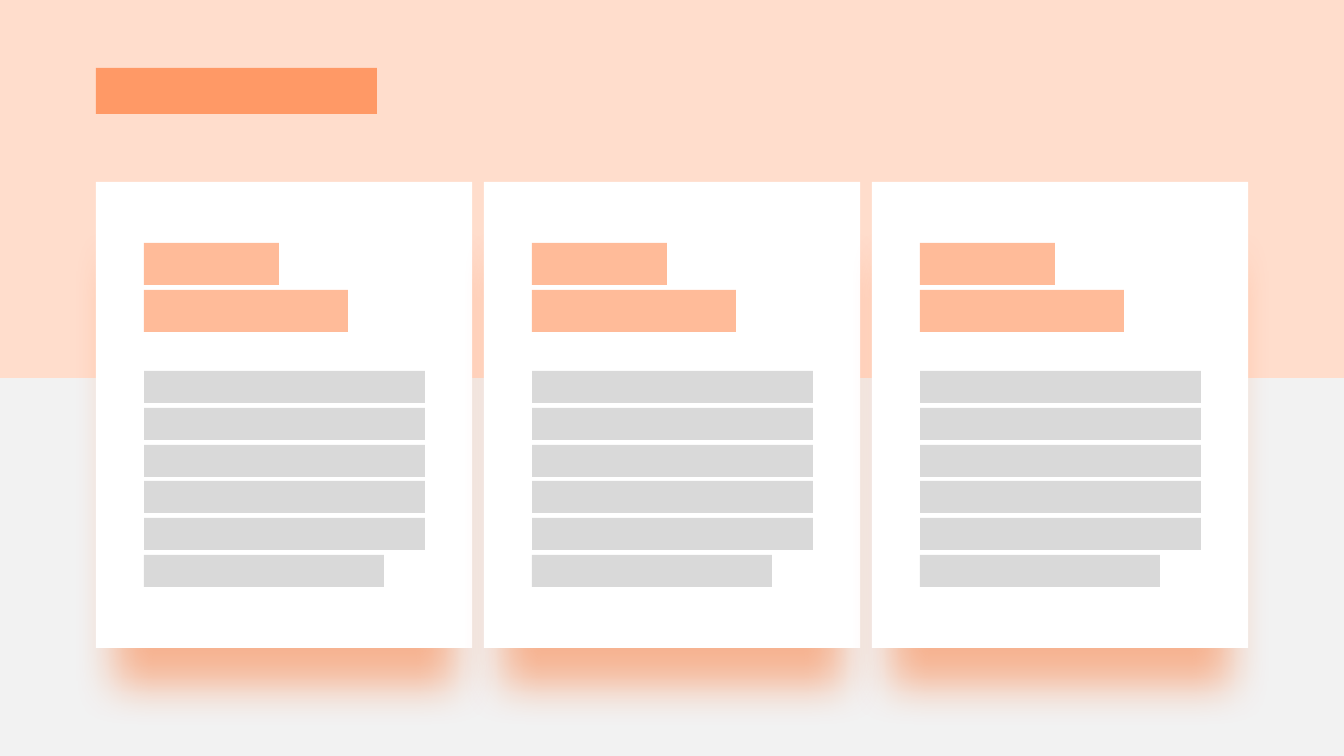
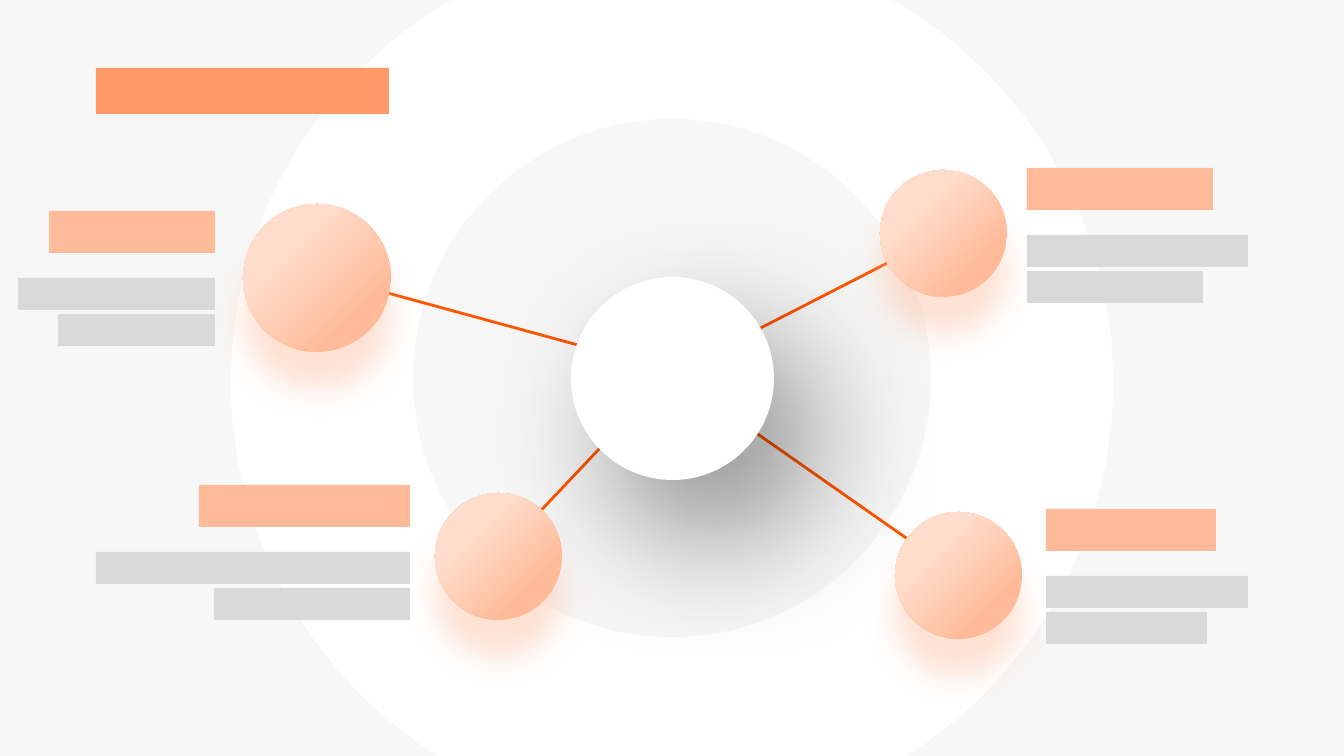
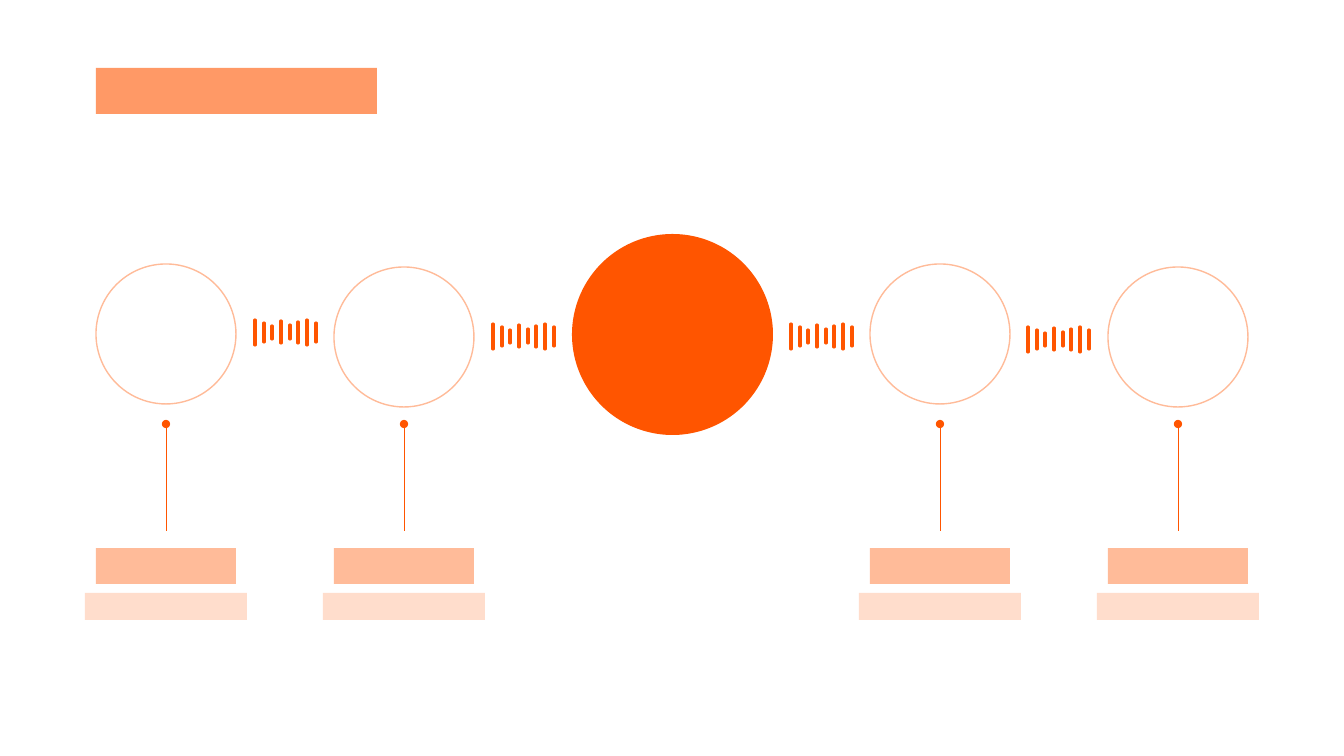
from lxml.etree import SubElement
from pptx import Presentation
from pptx.dml.color import RGBColor
from pptx.enum.shapes import MSO_CONNECTOR as Connector, MSO_SHAPE as Shape
from pptx.oxml.ns import qn
from pptx.util import Pt

EMU_PER_PX = 12192000 / 1344
WIDTH, HEIGHT = 1344, 756
ORANGE, TITLE, ACCENT, PALE = "FF5500", "FF9966", "FFBB99", "FFDDCC"
WHITE, GREY, PAPER, MIST = "FFFFFF", "D9D9D9", "F2F2F2", "F7F7F7"
HEADING_HEIGHT, LINE_HEIGHT = 42, 32
CARD_SHADOW = (ORANGE, 40, 30, 60, 90, 90)
HUB_SHADOW = ("000000", 44, 100, 50, 55)
NODE_SHADOW = (ACCENT, 42, 22, 27, 90)


def px(length):
    return round(length * EMU_PER_PX)


def rgb(color):
    return RGBColor.from_string(color)


class Deck:
    def __init__(self):
        self.deck = Presentation()
        self.deck.slide_width = px(WIDTH)
        self.deck.slide_height = px(HEIGHT)
        self.page = None

    def add_page(self):
        self.page = self.deck.slides.add_slide(self.deck.slide_layouts[6])

    def shape(self, kind, left, top, width, height, fill=None, line=None):
        shape = self.page.shapes.add_shape(kind, px(left), px(top), px(width), px(height))
        shape.shadow.inherit = False
        if fill:
            shape.fill.solid()
            shape.fill.fore_color.rgb = rgb(fill)
        else:
            shape.fill.background()
        if line:
            shape.line.color.rgb = rgb(line)
            shape.line.width = Pt(1)
        else:
            shape.line.fill.background()
        return shape

    def block(self, left, top, width, height, fill):
        return self.shape(Shape.RECTANGLE, left, top, width, height, fill)

    def circle(self, left, top, size, fill=None, line=None):
        return self.shape(Shape.OVAL, left, top, size, size, fill, line)

    def title(self, width):
        self.block(96, 68, width, 46, TITLE)

    def shadow(self, shape, color, alpha, blur, distance, angle, scale=100):
        effects = shape.element.spPr.find(qn("a:effectLst"))
        outer = SubElement(
            effects, qn("a:outerShdw"), blurRad=str(Pt(blur)), dist=str(Pt(distance)),
            dir=str(angle * 60000), sx=str(scale * 1000), sy=str(scale * 1000),
            algn="t", rotWithShape="0")
        tint = SubElement(outer, qn("a:srgbClr"), val=color)
        SubElement(tint, qn("a:alpha"), val=str(alpha * 1000))

    def card(self, left, top, width, height):
        card = self.shape(Shape.ROUNDED_RECTANGLE, left, top, width, height, WHITE)
        card.adjustments[0] = 0
        self.shadow(card, *CARD_SHADOW)

    def node(self, left, top, size):
        node = self.circle(left, top, size)
        node.fill.gradient()
        for stop, position, color in zip(node.fill.gradient_stops, (0.3, 0.76), (PALE, ACCENT)):
            stop.position = position
            stop.color.rgb = rgb(color)
        gradient = node.element.spPr.find(qn("a:gradFill"))
        gradient.remove(gradient.find(qn("a:lin")))
        radial = SubElement(gradient, qn("a:path"), path="circle")
        SubElement(radial, qn("a:fillToRect"), r="100000", b="100000")
        self.shadow(node, *NODE_SHADOW)

    def line(self, start, end, weight, dot=False, rounded=False):
        line = self.page.shapes.add_connector(Connector.STRAIGHT, *map(px, start + end))
        line.line.color.rgb = rgb(ORANGE)
        line.line.width = Pt(weight)
        properties = line.element.spPr
        outline = properties.find(qn("a:ln"))
        if rounded:
            outline.set("cap", "rnd")
        if dot:
            SubElement(outline, qn("a:tailEnd"), type="oval")
        SubElement(properties, qn("a:effectLst"))

    def label(self, edge, top, widths, right_aligned):
        rows = ((0, HEADING_HEIGHT, ACCENT), (67, LINE_HEIGHT, GREY), (103, LINE_HEIGHT, GREY))
        for width, (offset, height, fill) in zip(widths, rows):
            left = edge - width if right_aligned else edge
            self.block(left, top + offset, width, height, fill)

    def wave(self, left, top):
        bars = ((0, 25), (3, 22), (6, 19), (1, 23), (5, 19), (2, 23), (0, 25), (3, 22))
        for index, (upper, lower) in enumerate(bars):
            x = left + round(index * 8.65)
            self.line((x, top + upper), (x, top + lower), 2.25, rounded=True)


def cards_page(deck):
    deck.add_page()
    deck.block(0, 0, WIDTH, HEIGHT, PAPER)
    deck.block(0, 0, WIDTH, HEIGHT // 2, PALE)
    deck.title(281)
    lefts = [96 + 388 * column for column in range(3)]
    for left in lefts:
        deck.card(left, 182, 376, 466)
    for left in lefts:
        inner = left + 48
        deck.block(inner, 243, 135, HEADING_HEIGHT, ACCENT)
        deck.block(inner, 290, 204, HEADING_HEIGHT, ACCENT)
        for row in range(6):
            width = 240 if row == 5 else 281
            deck.block(inner, 371 + round(row * 36.8), width, LINE_HEIGHT, GREY)


def hub_page(deck):
    deck.add_page()
    deck.block(0, 0, WIDTH, HEIGHT, MIST)
    deck.circle(231, -59, 882, WHITE)
    deck.circle(413, 119, 518, MIST)
    spokes = (
        ((942, 235), (671, 374)),
        ((673, 371), (267, 260)),
        ((497, 557), (672, 372)),
        ((672, 374), (959, 575)),
    )
    for start, end in spokes:
        deck.line(start, end, 2)
    deck.shadow(deck.circle(571, 277, 203, WHITE), *HUB_SHADOW)
    for left, top, size in ((880, 170, 127), (243, 204, 148), (435, 493, 127), (895, 512, 127)):
        deck.node(left, top, size)
    deck.title(293)
    labels = (
        (410, 485, (211, 314, 196), True),
        (215, 211, (166, 197, 157), True),
        (1046, 509, (170, 202, 161), False),
        (1027, 168, (186, 221, 176), False),
    )
    for label in labels:
        deck.label(*label)


def chain_page(deck):
    deck.add_page()
    columns = (
        (96, 264, 255, 320),
        (334, 267, 493, 324),
        (870, 264, 791, 324),
        (1108, 267, 1028, 327),
    )
    size = 140
    for left, top, wave_left, wave_top in columns:
        middle = left + size // 2
        deck.line((middle, 531), (middle, 424), 0.5, dot=True)
        deck.wave(wave_left, wave_top)
        deck.circle(left, top, size, line=ACCENT)
        deck.block(left, 548, size, 36, ACCENT)
        deck.block(left - 11, 593, size + 22, 27, PALE)
    deck.circle(572, 234, 201, ORANGE)
    deck.title(281)


def main():
    deck = Deck()
    cards_page(deck)
    hub_page(deck)
    chain_page(deck)
    deck.deck.save("out.pptx")


if __name__ == "__main__":
    main()
